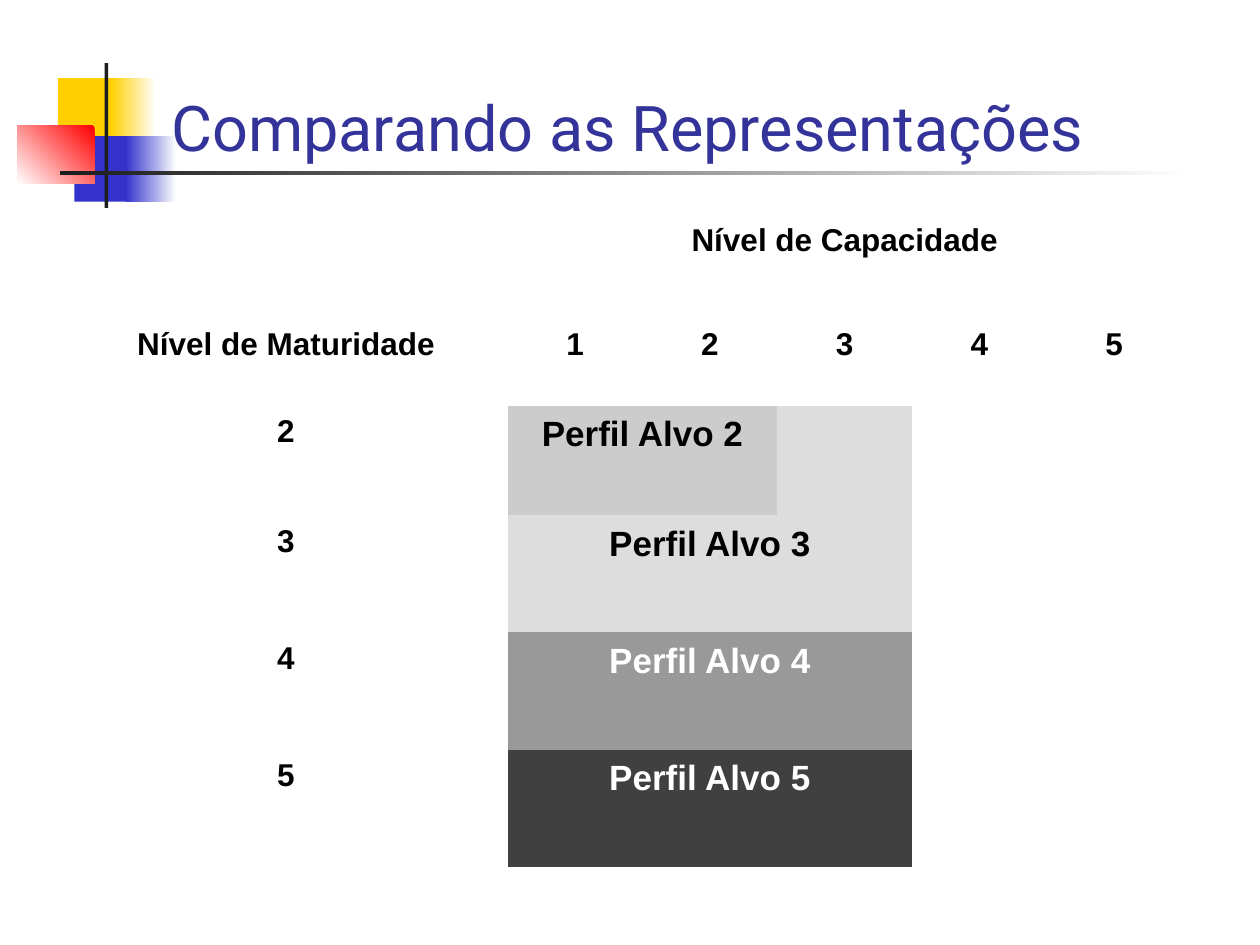
"""Build a slide that compares maturity levels with capability levels."""
from dataclasses import dataclass
from typing import Optional

from pptx import Presentation
from pptx.dml.color import RGBColor
from pptx.enum.shapes import MSO_SHAPE
from pptx.enum.text import MSO_ANCHOR, MSO_AUTO_SIZE, PP_ALIGN
from pptx.slide import Slide
from pptx.table import Table
from pptx.text.text import _Paragraph as Paragraph
from pptx.util import Inches, Pt


@dataclass(frozen=True)
class Theme:
    """Colours, fonts and type sizes of the slide."""
    title_font: str = "Roboto"
    body_font: str = "Arial"
    title_size: int = 36
    label_size: int = 18
    profile_size: int = 20
    title: str = "333399"
    black: str = "000000"
    white: str = "FFFFFF"
    yellow: str = "FFCF01"
    blue: str = "3333CC"
    red: str = "FF0000"
    rule: str = "1C1C1C"
    profile_2: str = "CCCCCC"
    profile_3: str = "DDDDDD"
    profile_4: str = "999999"
    profile_5: str = "404040"


@dataclass(frozen=True)
class Block:
    """A decorative rectangle, faded when it has an end colour."""
    left: float
    top: float
    width: float
    height: float
    color: str
    end_color: Optional[str] = None
    angle: int = 180


@dataclass(frozen=True)
class Profile:
    """A target profile and the capability columns it covers."""
    level: int
    columns: int
    fill: str
    text_color: str


THEME = Theme()
BLOCKS = (
    Block(0.46, 0.62, 0.48, 0.52, THEME.yellow),
    Block(0.88, 0.62, 0.36, 0.52, THEME.white, THEME.yellow),
    Block(0.59, 1.08, 0.46, 0.52, THEME.blue),
    Block(1, 1.08, 0.4, 0.52, THEME.white, THEME.blue),
    Block(0.14, 1, 0.61, 0.46, THEME.red, THEME.white, 225),
    Block(0.83, 0.5, 0.03, 1.15, THEME.rule),
    Block(0.48, 1.36, 9, 0.03, THEME.white, THEME.rule),
)
PROFILES = (
    Profile(2, 2, THEME.profile_2, THEME.black),
    Profile(3, 3, THEME.profile_3, THEME.black),
    Profile(4, 3, THEME.profile_4, THEME.white),
    Profile(5, 3, THEME.profile_5, THEME.white),
)
CAPABILITY_LEVELS = range(1, 6)
COLUMN_WIDTHS = (3.52,) + (1.07,) * len(CAPABILITY_LEVELS)
ROW_HEIGHTS = (0.83, 0.69, 0.87, 0.93, 0.93, 0.93)
PLAIN_TABLE_STYLE = "{2D5ABB26-0587-4C30-8999-92F81FD0307C}"


def add_text(paragraph: Paragraph, text: str, font: str, size: int, color: str, bold: bool) -> None:
    """Add one formatted run to a paragraph."""
    run = paragraph.add_run()
    run.text = text
    run.font.name = font
    run.font.size = Pt(size)
    run.font.bold = bold
    run.font.color.rgb = RGBColor.from_string(color)


def add_block(slide: Slide, block: Block) -> None:
    """Draw a decorative rectangle."""
    shape = slide.shapes.add_shape(
        MSO_SHAPE.RECTANGLE, Inches(block.left), Inches(block.top), Inches(block.width), Inches(block.height)
    )
    shape.shadow.inherit = False
    shape.line.fill.background()
    if block.end_color is None:
        shape.fill.solid()
        shape.fill.fore_color.rgb = RGBColor.from_string(block.color)
        return
    shape.fill.gradient()
    shape.fill.gradient_angle = block.angle
    for stop, color in zip(shape.fill.gradient_stops, (block.color, block.end_color)):
        stop.color.rgb = RGBColor.from_string(color)


def format_title(slide: Slide, text: str) -> None:
    """Place the title in front of the decoration."""
    title = slide.shapes.title
    title.element.getparent().append(title.element)
    title.left, title.top = Inches(1.26), Inches(0.21)
    title.width, title.height = Inches(8.52), Inches(1.14)
    frame = title.text_frame
    frame.auto_size = MSO_AUTO_SIZE.NONE
    frame.word_wrap = True
    frame.vertical_anchor = MSO_ANCHOR.BOTTOM
    paragraph = frame.paragraphs[0]
    paragraph.alignment = PP_ALIGN.LEFT
    add_text(paragraph, text, THEME.title_font, THEME.title_size, THEME.title, False)


def write_cell(
    table: Table, row: int, column: int, text: str,
    size: int = THEME.label_size, color: str = THEME.black, top_margin: float = 0.1,
) -> None:
    """Write centred bold text in a table cell."""
    cell = table.cell(row, column)
    cell.margin_left = cell.margin_right = Inches(0.1)
    cell.margin_top, cell.margin_bottom = Inches(top_margin), Inches(0.05)
    cell.vertical_anchor = MSO_ANCHOR.TOP
    paragraph = cell.text_frame.paragraphs[0]
    paragraph.alignment = PP_ALIGN.CENTER
    paragraph.line_spacing = 0.87
    add_text(paragraph, text, THEME.body_font, size, color, True)


def fill_cell(table: Table, row: int, column: int, color: str) -> None:
    """Give a table cell a solid fill."""
    fill = table.cell(row, column).fill
    fill.solid()
    fill.fore_color.rgb = RGBColor.from_string(color)


def add_plain_table(slide: Slide) -> Table:
    """Add an empty table without style or fills."""
    frame = slide.shapes.add_table(
        len(ROW_HEIGHTS), len(COLUMN_WIDTHS), Inches(0.51), Inches(1.7),
        Inches(sum(COLUMN_WIDTHS)), Inches(sum(ROW_HEIGHTS)),
    )
    table = frame.table
    table.first_row = table.horz_banding = False
    for style in frame.element.xpath(".//a:tableStyleId"):
        style.text = PLAIN_TABLE_STYLE
    for column, width in zip(table.columns, COLUMN_WIDTHS):
        column.width = Inches(width)
    for row, height in zip(table.rows, ROW_HEIGHTS):
        row.height = Inches(height)
    for cell in table.iter_cells():
        cell.fill.background()
    return table


def add_comparison(slide: Slide) -> None:
    """Fill the table of maturity levels against capability levels."""
    table = add_plain_table(slide)
    table.cell(0, 1).merge(table.cell(0, len(CAPABILITY_LEVELS)))
    write_cell(table, 0, 1, "Nível de Capacidade")
    write_cell(table, 1, 0, "Nível de Maturidade")
    for level in CAPABILITY_LEVELS:
        write_cell(table, 1, level, str(level))
    for row, profile in enumerate(PROFILES, start=2):
        write_cell(table, row, 0, str(profile.level))
        table.cell(row, 1).merge(table.cell(row, profile.columns))
        fill_cell(table, row, 1, profile.fill)
        write_cell(table, row, 1, f"Perfil Alvo {profile.level}", THEME.profile_size, profile.text_color, 0.11)
    fill_cell(table, 2, 3, THEME.profile_3)


def main() -> None:
    """Build and save the presentation."""
    presentation = Presentation()
    presentation.slide_width, presentation.slide_height = Inches(10), Inches(7.5)
    slide = presentation.slides.add_slide(presentation.slide_layouts[5])
    for block in BLOCKS:
        add_block(slide, block)
    format_title(slide, "Comparando as Representações")
    add_comparison(slide)
    presentation.save("out.pptx")


if __name__ == "__main__":
    main()
